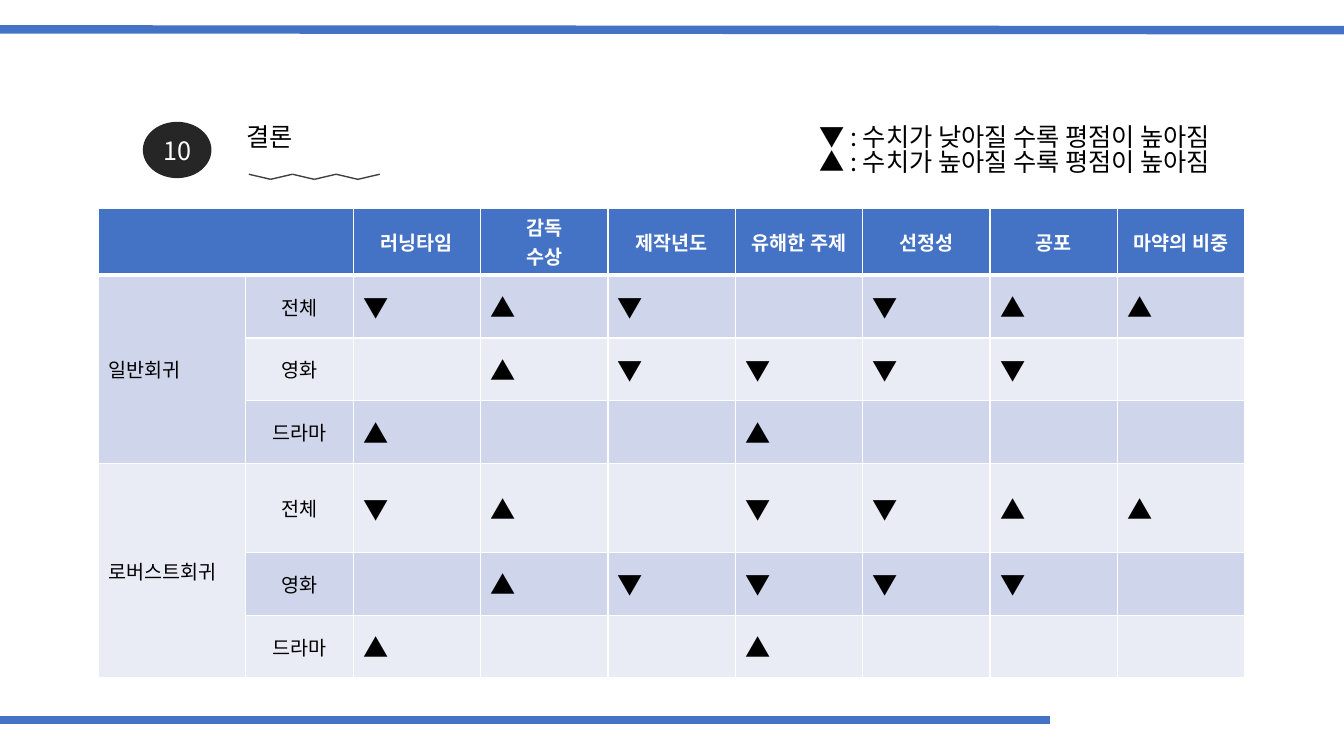
from lxml.etree import SubElement
from pptx import Presentation
from pptx.dml.color import RGBColor
from pptx.enum.shapes import MSO_CONNECTOR as CONN, MSO_SHAPE as SHAPE
from pptx.enum.text import MSO_ANCHOR as ANCHOR, PP_ALIGN as ALIGN
from pptx.oxml.ns import qn
from pptx.util import Cm, Pt

BLUE = RGBColor(0x44, 0x72, 0xC4)
BAND_DARK = RGBColor(0xCF, 0xD5, 0xEA)
BAND_LIGHT = RGBColor(0xE9, 0xEB, 0xF5)
BADGE = RGBColor(0x26, 0x26, 0x26)
GREY = RGBColor(0x40, 0x40, 0x40)
BLACK = RGBColor(0, 0, 0)
WHITE = RGBColor(255, 255, 255)

FACTORS = ["러닝타임", "감독\n수상", "제작년도", "유해한 주제", "선정성", "공포", "마약의 비중"]
MODELS = {
    "일반회귀": {"전체": "▼▲▼ ▼▲▲", "영화": " ▲▼▼▼▼ ", "드라마": "▲  ▲   "},
    "로버스트회귀": {"전체": "▼▲ ▼▼▲▲", "영화": " ▲▼▼▼▼ ", "드라마": "▲  ▲   "},
}


class Deck:
    font = "Noto Sans CJK KR"

    def __init__(self, slide):
        self.s = slide

    def fill_text(self, tf, text, size=18, color=BLACK, align=ALIGN.LEFT, bold=False, spacing=None):
        tf.text = text
        for p in tf.paragraphs:
            p.alignment = align
            p.line_spacing = spacing
            for r in p.runs:
                r.font.size = Pt(size)
                r.font.bold = bold
                r.font.color.rgb = color
                r.font.name = self.font
                SubElement(r._r.get_or_add_rPr(), qn("a:ea"), typeface=self.font)

    def text(self, x, y, w, h, text):
        tf = self.s.shapes.add_textbox(Cm(x), Cm(y), Cm(w), Cm(h)).text_frame
        tf.word_wrap = True
        self.fill_text(tf, text, spacing=0.82)

    def line(self, x1, y1, x2, y2, color, width):
        sp = self.s.shapes.add_connector(CONN.STRAIGHT, Cm(x1), Cm(y1), Cm(x2), Cm(y2))
        sp.line.color.rgb = color
        sp.line.width = Pt(width)
        SubElement(sp._element.spPr, qn("a:effectLst"))

    def badge(self, x, y, w, h, text):
        sp = self.s.shapes.add_shape(SHAPE.OVAL, Cm(x), Cm(y), Cm(w), Cm(h))
        sp.shadow.inherit = False
        sp.fill.solid()
        sp.fill.fore_color.rgb = BADGE
        sp.line.fill.background()
        sp.text_frame.vertical_anchor = ANCHOR.MIDDLE
        self.fill_text(sp.text_frame, text, color=WHITE, align=ALIGN.CENTER)

    def table(self, x, y, widths, heights):
        frame = self.s.shapes.add_table(len(heights), len(widths), Cm(x), Cm(y),
                                        Cm(sum(widths)), Cm(sum(heights)))
        for col, w in zip(frame.table.columns, widths):
            col.width = Cm(w)
        for row, h in zip(frame.table.rows, heights):
            row.height = Cm(h)
        return frame.table

    def cell(self, cell, fill, bottom=1, top=1):
        tcPr = cell._tc.get_or_add_tcPr()
        for side, width in (("L", 1), ("R", 1), ("T", top), ("B", bottom)):
            ln = SubElement(tcPr, qn("a:ln" + side), w=str(Pt(width)))
            SubElement(SubElement(ln, qn("a:solidFill")), qn("a:srgbClr"), val=str(WHITE))
        cell.fill.solid()
        cell.fill.fore_color.rgb = fill
        cell.vertical_anchor = ANCHOR.MIDDLE


prs = Presentation()
prs.slide_width, prs.slide_height = Cm(33.87), Cm(19.05)
deck = Deck(prs.slides.add_slide(prs.slide_layouts[6]))

tbl = deck.table(2.48, 5.24, [3.71, 2.71] + [3.21] * len(FACTORS),
                 [1.65] + [1.58] * 3 + [2.25] + [1.58] * 2)
for i, row in enumerate(tbl.rows):
    for j, cell in enumerate(row.cells):
        if i == 0:
            deck.cell(cell, BLUE, bottom=3)
        else:
            odd = i % 2 if j else i <= 3
            deck.cell(cell, BAND_DARK if odd else BAND_LIGHT, top=3 if i == 1 else 1)

tbl.cell(0, 0).merge(tbl.cell(0, 1))
for j, factor in enumerate(FACTORS, 2):
    deck.fill_text(tbl.cell(0, j).text_frame, factor, 14, WHITE, ALIGN.CENTER, True)
for m, (model, groups) in enumerate(MODELS.items()):
    first = 1 + m * len(groups)
    tbl.cell(first, 0).merge(tbl.cell(first + len(groups) - 1, 0))
    deck.fill_text(tbl.cell(first, 0).text_frame, model, 14)
    for i, (group, marks) in enumerate(groups.items(), first):
        deck.fill_text(tbl.cell(i, 1).text_frame, group, 14, align=ALIGN.CENTER)
        for j, mark in enumerate(marks, 2):
            if mark != " ":
                deck.fill_text(tbl.cell(i, j).text_frame, mark)

deck.text(20.4, 3.07, 11.94, 2.57, "▼ : 수치가 낮아질 수록 평점이 높아짐\n▲ : 수치가 높아질 수록 평점이 높아짐")
deck.line(0, 0.74, 33.87, 0.76, BLUE, 6)
deck.line(0, 18.14, 26.47, 18.14, BLUE, 6)
deck.badge(3.6, 3.07, 1.73, 1.42, "10")

ZIGZAG_X, ZIGZAG_STEP, ZIGZAG_Y = 6.27, 0.55, (4.39, 4.52)
for k in range(6):
    x = ZIGZAG_X + k * ZIGZAG_STEP
    deck.line(x, ZIGZAG_Y[k % 2], x + ZIGZAG_STEP, ZIGZAG_Y[(k + 1) % 2], GREY, 1)
deck.text(5.97, 3.07, 18.57, 1.02, "결론")

prs.save("out.pptx")
